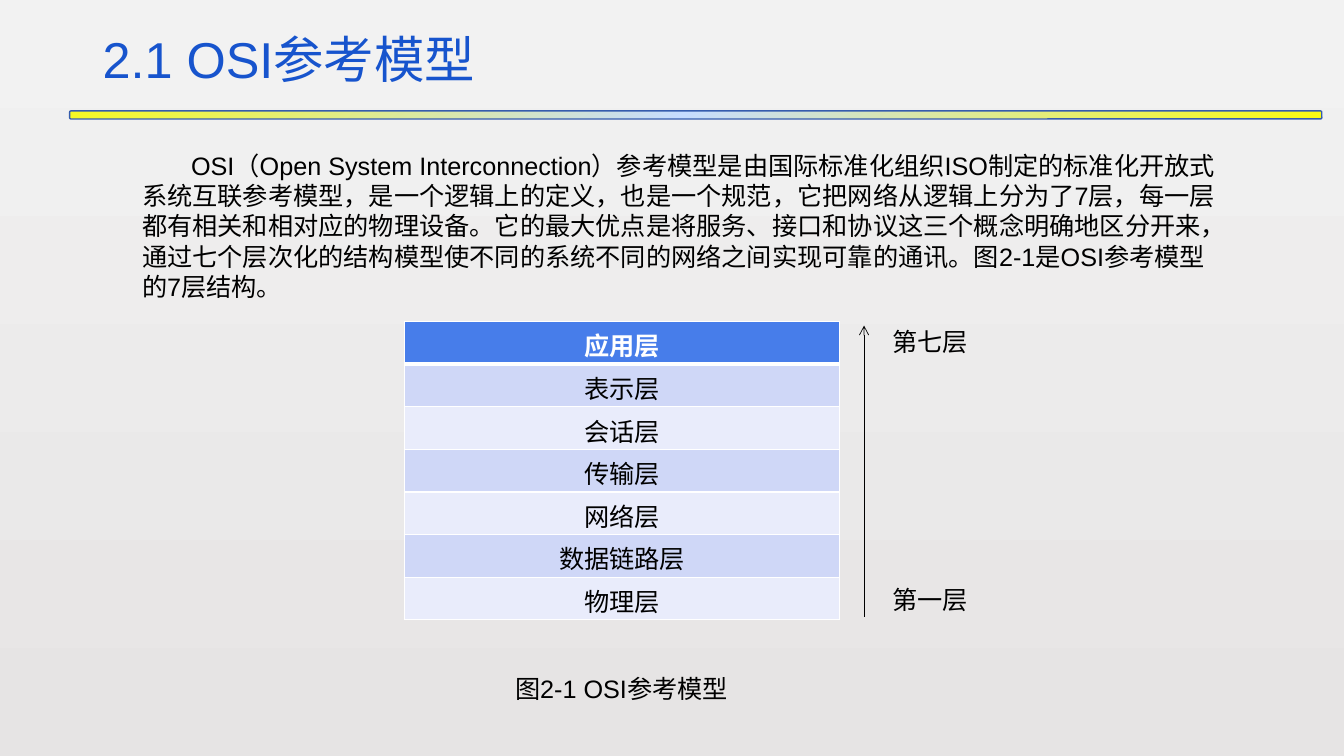
"""Builds a slide on the seven layers of the OSI reference model."""
from dataclasses import dataclass

from lxml import etree
from pptx import Presentation, util as u
from pptx.dml.color import RGBColor
from pptx.enum import shapes, text
from pptx.oxml import ns


@dataclass(frozen=True)
class Theme:
    """Colours, font and type sizes."""
    font: str = "Arial"
    title_size: int = 36
    body_size: int = 18
    title: str = "1754CD"
    ink: str = "000000"
    white: str = "FFFFFF"
    header: str = "477DEA"
    bands: tuple = ("E9ECFB", "CFD7F7")
    backdrop: tuple = ("F2F2F2", "E6E4E4")
    rule_stops: tuple = ((0, "FBFB11"), (51, "C6DCFF"), (100, "F7F923"))
    rule_edge: str = "355CAD"


def add_xml(parent, tag, **attributes):
    """Append one DrawingML element."""
    return etree.SubElement(parent, ns.qn(tag), attributes)


class SlideBuilder:
    """Draws themed elements placed in percent of the slide's size."""

    def __init__(self, deck, theme):
        self.deck, self.theme = deck, theme
        self.slide = deck.slides.add_slide(deck.slide_layouts[6])

    def across(self, share):
        """Turn a percentage of the width into a length."""
        return u.Emu(round(self.deck.slide_width * share / 100))

    def down(self, share):
        """Turn a percentage of the height into a length."""
        return u.Emu(round(self.deck.slide_height * share / 100))

    def place(self, x, y, width, height):
        """Turn four percentages into a frame."""
        return self.across(x), self.down(y), self.across(width), self.down(height)

    def backdrop(self):
        """Fill the background from top to bottom."""
        fill = self.slide.background.fill
        fill.gradient()
        fill.gradient_angle = 270
        for stop, colour in zip(fill.gradient_stops, self.theme.backdrop):
            stop.color.rgb = RGBColor.from_string(colour)

    def add_words(self, paragraph, words, size=None, colour=None, bold=False):
        """Add one styled run."""
        run = paragraph.add_run()
        run.text = words
        run.font.name = self.theme.font
        run.font.size = u.Pt(size or self.theme.body_size)
        run.font.bold = bold
        run.font.color.rgb = RGBColor.from_string(colour or self.theme.ink)

    def text(self, frame, words, indent=0):
        """Add a wrapped text box that grows with its text."""
        box = self.slide.shapes.add_textbox(*self.place(*frame)).text_frame
        box.word_wrap = True
        box.auto_size = text.MSO_AUTO_SIZE.SHAPE_TO_FIT_TEXT
        paragraph = box.paragraphs[0]
        if indent:
            paragraph._p.get_or_add_pPr().set("indent", str(self.across(indent)))
        self.add_words(paragraph, words)

    def title(self, frame, words):
        """Add the heading, set on the bottom of its frame."""
        box = self.slide.shapes.add_textbox(*self.place(*frame)).text_frame
        box.word_wrap = True
        box.vertical_anchor = text.MSO_ANCHOR.BOTTOM
        box.paragraphs[0].line_spacing = 0.9
        self.add_words(box.paragraphs[0], words, self.theme.title_size, self.theme.title)

    def rule(self, frame):
        """Add the rounded bar with a radial gradient."""
        bar = self.slide.shapes.add_shape(
            shapes.MSO_SHAPE.ROUNDED_RECTANGLE, *self.place(*frame))
        bar.shadow.inherit = False
        bar.line.color.rgb = RGBColor.from_string(self.theme.rule_edge)
        bar.line.width = u.Pt(1)
        bar.fill.gradient()
        gradient = bar.element.spPr.find(ns.qn("a:gradFill"))
        for child in list(gradient):
            gradient.remove(child)
        stops = add_xml(gradient, "a:gsLst")
        for position, colour in self.theme.rule_stops:
            stop = add_xml(stops, "a:gs", pos=str(position * 1000))
            add_xml(stop, "a:srgbClr", val=colour)
        radial = add_xml(gradient, "a:path", path="circle")
        add_xml(radial, "a:fillToRect", l="100000", t="100000")

    def border(self, cell, side, points):
        """Draw one side of a cell in white."""
        line = add_xml(cell._tc.get_or_add_tcPr(), f"a:ln{side}", w=str(u.Pt(points)))
        add_xml(add_xml(line, "a:solidFill"), "a:srgbClr", val=self.theme.white)

    def layers(self, frame, names):
        """Add the layer stack with a header and banded rows."""
        table = self.slide.shapes.add_table(len(names), 1, *self.place(*frame)).table
        for index, name in enumerate(names):
            cell, is_header = table.cell(index, 0), index == 0
            widths = {"L": 1, "R": 1, "T": 3 if index == 1 else 1,
                      "B": 3 if is_header else 1}
            for side, points in widths.items():
                self.border(cell, side, points)
            cell.fill.solid()
            cell.fill.fore_color.rgb = RGBColor.from_string(
                self.theme.header if is_header else self.theme.bands[index % 2])
            paragraph = cell.text_frame.paragraphs[0]
            paragraph.alignment = text.PP_ALIGN.CENTER
            self.add_words(paragraph, name, bold=is_header,
                           colour=self.theme.white if is_header else self.theme.ink)

    def arrow(self, x, bottom, top):
        """Add a thin upward arrow."""
        arrow = self.slide.shapes.add_connector(
            shapes.MSO_CONNECTOR.STRAIGHT,
            self.across(x), self.down(bottom), self.across(x), self.down(top))
        arrow.line.color.rgb = RGBColor.from_string(self.theme.ink)
        arrow.line.width = u.Pt(0.5)
        properties = arrow.element.spPr
        add_xml(properties.find(ns.qn("a:ln")), "a:tailEnd", type="arrow")
        add_xml(properties, "a:effectLst")


def main():
    """Build and save the slide."""
    deck = Presentation()
    deck.slide_width, deck.slide_height = u.Inches(13.33), u.Inches(7.5)
    osi = SlideBuilder(deck, Theme())
    osi.backdrop()
    osi.rule((5.18, 14.67, 93.17, 1.07))
    osi.title((6.9, 0.93, 86.27, 11.6), "2.1 OSI参考模型")
    osi.text(
        (9.83, 19.2, 81.55, 21.47),
        "OSI（Open System Interconnection）参考模型是由国际标准化组织ISO制定的标准化开放式系统"
        "互联参考模型，是一个逻辑上的定义，也是一个规范，它把网络从逻辑上分为了7层，每一层都有相关和"
        "相对应的物理设备。它的最大优点是将服务、接口和协议这三个概念明确地区分开来，通过七个层次化的"
        "结构模型使不同的系统不同的网络之间实现可靠的通讯。图2-1是OSI参考模型的7层结构。",
        indent=3.65)
    stack_top = 42.53
    osi.layers((30.08, stack_top, 32.41, 39.47),
               ("应用层", "表示层", "会话层", "传输层", "网络层", "数据链路层", "物理层"))
    osi.arrow(64.29, 81.6, 43.07)
    for label_top, level in ((76.67, "第一层"), (stack_top, "第七层")):
        osi.text((65.64, label_top, 11.63, 5.33), level)
    osi.text((37.58, 88.4, 17.93, 5.33), "图2-1 OSI参考模型")
    deck.save("out.pptx")


if __name__ == "__main__":
    main()
